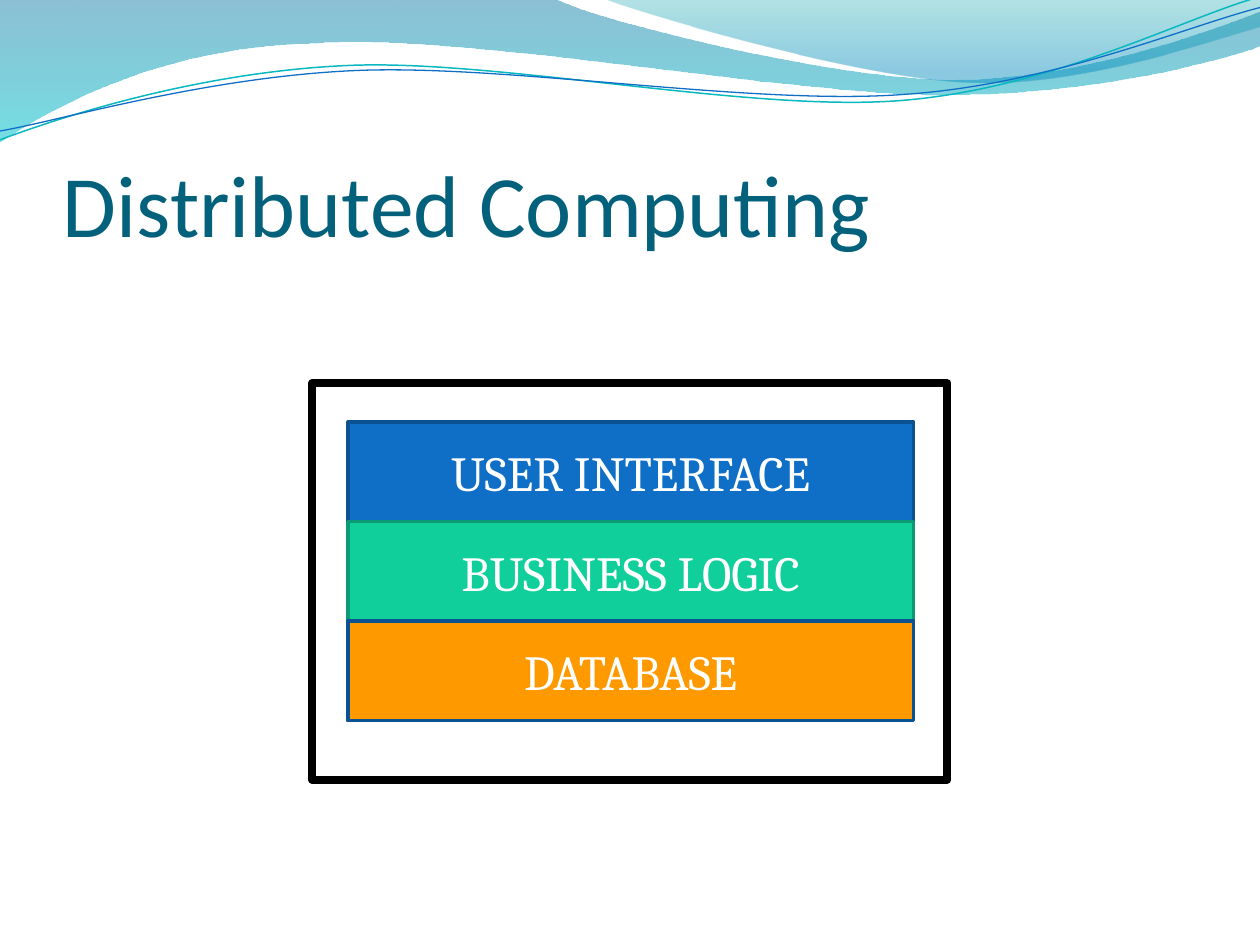
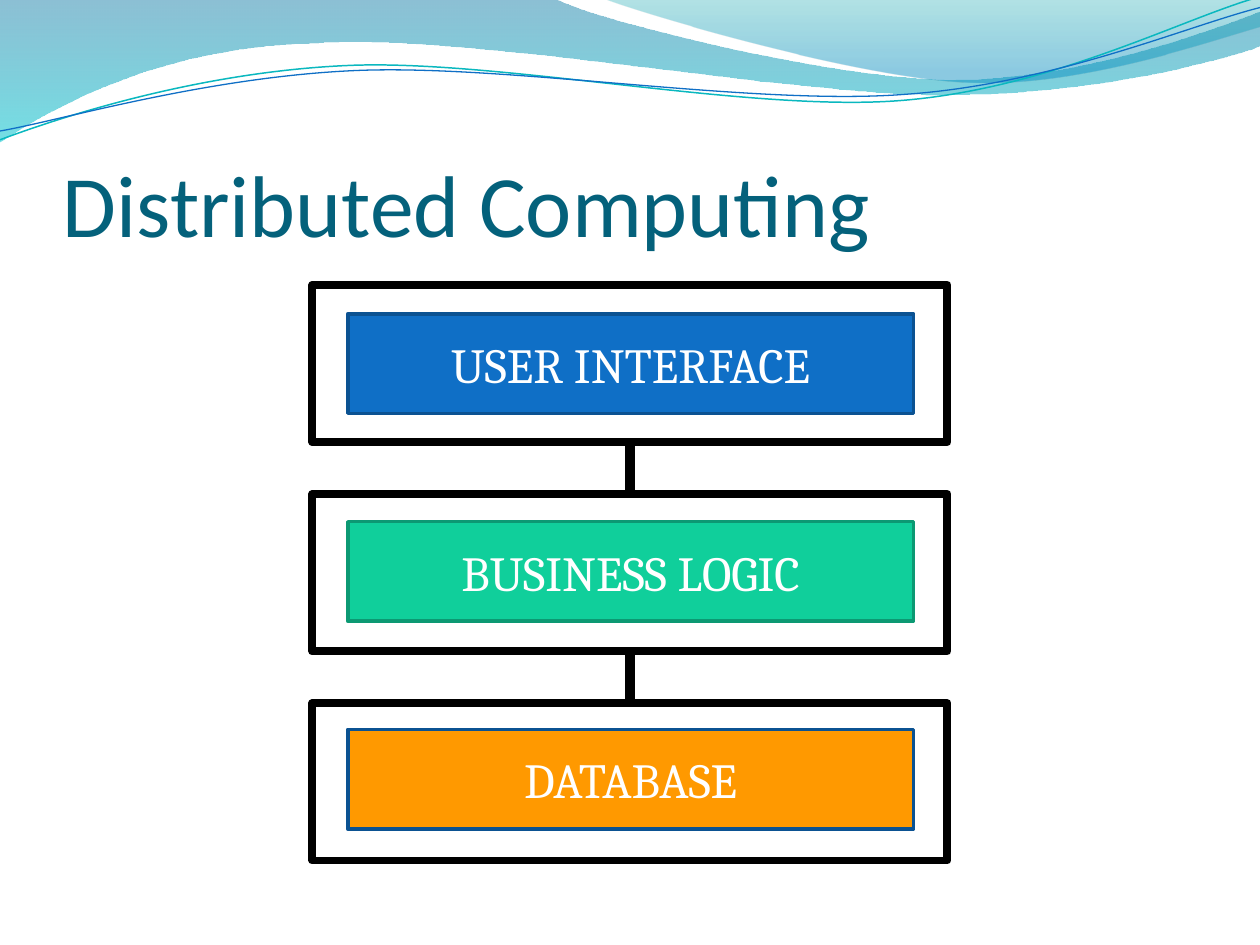
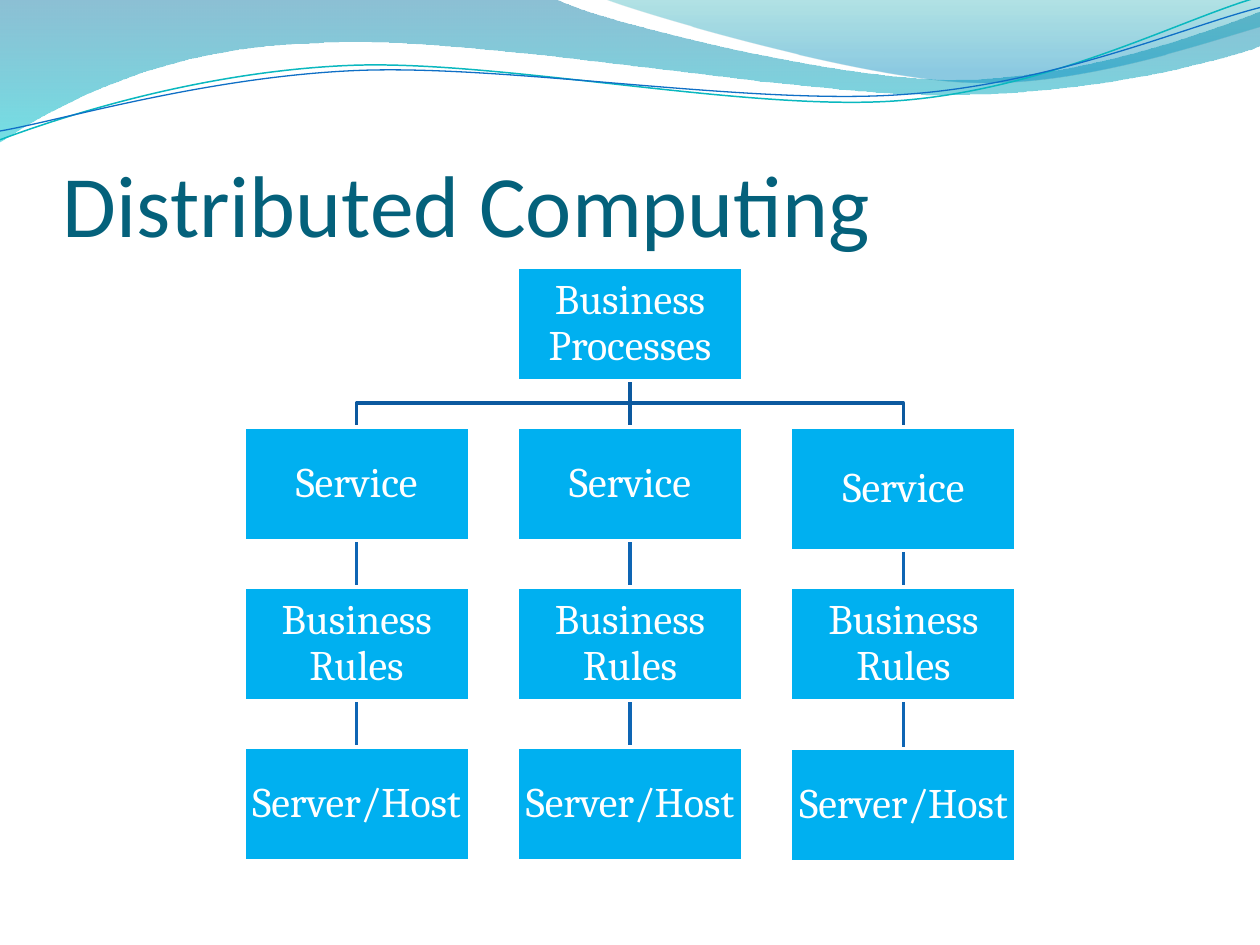
from dataclasses import dataclass
from itertools import chain, pairwise

from lxml import etree
from pptx import Presentation
from pptx import util as u
from pptx.dml.color import RGBColor
from pptx.enum import shapes, text
from pptx.oxml.ns import qn


@dataclass(frozen=True)
class Theme:
    title: str = "04617B"
    white: str = "FFFFFF"
    black: str = "000000"
    blue: str = "0F6FC6"
    blue_edge: str = "0B5292"
    green: str = "10CF9B"
    green_edge: str = "0C9973"
    orange: str = "FF9900"
    node: str = "00B0F0"
    branch: str = "0C599F"
    link: str = "0E65B4"
    teal: str = "0AB8BF"
    heading_font: str = "Calibri"
    body_font: str = "Cambria"
    title_size: int = 50
    layer_size: int = 28
    node_size: int = 24


THEME = Theme()
TITLE = "Distributed Computing"

# Bands: a start point, then line (1 point) or curve (3 points) segments.
# Each gradient stop is position, colour and opacity in percent.
FILLED_WAVES = [
    ((0, 0), [
        [(4.4, -0.01)],
        [(4.76, 0.17), (6.64, 0.63), (7.58, 0.63)],
        [(8.53, 0.63), (9.58, 0.26), (10, 0.09)],
        [(10.01, 0.36)],
        [(9.83, 0.44), (8.7, 0.76), (7.46, 0.75)],
        [(6.22, 0.75), (3.82, 0.28), (2.57, 0.34)],
        [(1.29, 0.36), (0.46, 0.83), (-0.01, 1.13)],
    ], [(0, "0074A1", 45), (1, "00C6CF", 55)]),
    ((4.79, -0.01), [
        [(5.09, 0.11), (6.82, 0.62), (7.69, 0.65)],
        [(8.56, 0.69), (9.61, 0.32), (10, 0.21)],
        [(10, 0)],
    ], [(0, "00A1A9", 30), (0.8, "008BBF", 45)]),
]
THIN_WAVES = [
    ((0, 1.11), [
        [(0.48, 0.93), (1.58, 0.57), (2.77, 0.52)],
        [(3.95, 0.47), (5.93, 0.89), (7.13, 0.8)],
        [(8.33, 0.71), (9.38, 0.15), (9.98, -0.02)],
    ], THEME.teal, 0.85),
    ((0, 1.04), [
        [(0.47, 0.96), (1.64, 0.61), (2.83, 0.56)],
        [(4.03, 0.51), (5.97, 0.84), (7.17, 0.75)],
        [(8.36, 0.67), (9.41, 0.21), (10, 0.06)],
    ], THEME.blue, 0.75),
]

# Application layers: label, fill, outline
LAYERS = [
    ("USER INTERFACE", THEME.blue, THEME.blue_edge),
    ("BUSINESS LOGIC", THEME.green, THEME.green_edge),
    ("DATABASE", THEME.orange, THEME.blue_edge),
]
LAYER_LEFT, LAYER_WIDTH, LAYER_HEIGHT = 2.76, 4.49, 0.79
FRAME_LEFT, FRAME_WIDTH = 2.48, 5.04


class Deck:
    def __init__(self, theme):
        self.theme = theme
        self.presentation = Presentation()
        self.presentation.slide_width = u.Inches(10)
        self.presentation.slide_height = u.Inches(7.5)
        self.slide = None

    def add_slide(self, title):
        layout = self.presentation.slide_layouts[6]
        self.slide = self.presentation.slides.add_slide(layout)
        for start, segments, stops in FILLED_WAVES:
            self.gradient(self.outline(start, segments, close=True), stops)
        for start, segments, color, width in THIN_WAVES:
            self.stroke(self.outline(start, segments), color, width)
        self.title(title)

    def title(self, title):
        box = self.slide.shapes.add_textbox(
            u.Inches(0.5), u.Inches(0.77), u.Inches(9), u.Inches(1.25))
        self.label(box, title, self.theme.title_size, self.theme.title,
                   self.theme.heading_font, text.PP_ALIGN.LEFT)
        frame = box.text_frame
        frame.vertical_anchor = text.MSO_ANCHOR.BOTTOM
        frame.margin_left = frame.margin_right = frame.margin_bottom = 0

    def label(self, shape, words, size, color, font, align):
        frame = shape.text_frame
        frame.word_wrap = True
        frame.text = words
        paragraph = frame.paragraphs[0]
        paragraph.alignment = align
        for run in paragraph.runs:
            run.font.name = font
            run.font.size = u.Pt(size)
            run.font.color.rgb = RGBColor.from_string(color)

    def stroke(self, shape, color, width):
        shape.line.color.rgb = RGBColor.from_string(color)
        shape.line.width = u.Pt(width)

    def gradient(self, shape, stops):
        shape.line.fill.background()
        shape.fill.gradient()
        shape.fill.gradient_angle = 270
        for stop, (position, color, _) in zip(shape.fill.gradient_stops, stops):
            stop.position = position
            stop.color.rgb = RGBColor.from_string(color)
        colors = shape._element.spPr.iter(qn("a:srgbClr"))
        for element, (_, _, opacity) in zip(colors, stops):
            etree.SubElement(element, qn("a:alpha"), val=str(opacity * 1000))

    def outline(self, start, segments, close=False):
        points = [(u.Inches(x), u.Inches(y))
                  for x, y in chain.from_iterable(segments)]
        builder = self.slide.shapes.build_freeform(
            u.Inches(start[0]), u.Inches(start[1]))
        builder.add_line_segments(points, close=close)
        shape = builder.convert_to_shape()
        shape.shadow.inherit = False
        if not close:
            shape.fill.background()
        # Merge the three points of each curve into one Bezier segment
        lines = iter(list(shape._element.iter(qn("a:lnTo"))))
        for segment in segments:
            first, *others = [next(lines) for _ in segment]
            if others:
                first.tag = qn("a:cubicBezTo")
            for other in others:
                first.append(other[0])
                other.getparent().remove(other)
        return shape

    def box(self, left, top, width, height, edge, edge_width, fill=None):
        shape = self.slide.shapes.add_shape(
            shapes.MSO_SHAPE.RECTANGLE, u.Inches(left), u.Inches(top),
            u.Inches(width), u.Inches(height))
        shape.shadow.inherit = False
        if fill:
            shape.fill.solid()
            shape.fill.fore_color.rgb = RGBColor.from_string(fill)
        else:
            shape.fill.background()
        self.stroke(shape, edge, edge_width)
        return shape

    def frame(self, top, height):
        return self.box(FRAME_LEFT, top, FRAME_WIDTH, height,
                        self.theme.black, 4.5)

    def layers(self, top, pitch):
        for row, (label, fill, edge) in enumerate(LAYERS):
            shape = self.box(LAYER_LEFT, top + row * pitch, LAYER_WIDTH,
                             LAYER_HEIGHT, edge, 2, fill)
            self.label(shape, label, self.theme.layer_size, self.theme.white,
                       self.theme.body_font, text.PP_ALIGN.CENTER)

    def node(self, label, center, top, height=0.9, width=1.79):
        shape = self.box(center - width / 2, top, width, height,
                         self.theme.white, 2, self.theme.node)
        self.label(shape, label, self.theme.node_size, self.theme.white,
                   self.theme.body_font, text.PP_ALIGN.CENTER)
        frame = shape.text_frame
        frame.margin_left = frame.margin_right = u.Inches(0.02)
        frame.margin_top = frame.margin_bottom = u.Inches(0.02)
        frame.paragraphs[0].line_spacing = 0.9
        return shape

    def send_back(self, shape):
        shape._element.getparent().insert(2, shape._element)

    def connect(self, upper, lower, color, width):
        connector = self.slide.shapes.add_connector(
            shapes.MSO_CONNECTOR.STRAIGHT, 0, 0, 0, 0)
        connector.begin_connect(upper, 2)
        connector.end_connect(lower, 0)
        self.stroke(connector, color, width)
        etree.SubElement(connector._element.spPr, qn("a:effectLst"))
        self.send_back(connector)

    def branch(self, start, end):
        middle = (start[1] + end[1]) / 2
        corners = [[(start[0], middle)], [(end[0], middle)], [end]]
        shape = self.outline(start, corners)
        self.stroke(shape, self.theme.branch, 2)
        self.send_back(shape)


def single_machine(deck):
    deck.add_slide(TITLE)
    deck.layers(top=3.35, pitch=LAYER_HEIGHT)
    deck.frame(top=3.04, height=3.15)


def separate_tiers(deck):
    deck.add_slide(TITLE)
    deck.layers(top=2.49, pitch=1.65)
    frames = [deck.frame(2.26 + 1.66 * row, 1.25) for row in range(3)]
    for upper, lower in pairwise(frames):
        deck.connect(upper, lower, THEME.black, 6)


def service_tree(deck):
    deck.add_slide(TITLE)
    middle, column_pitch, top, row_pitch = 5, 2.17, 2.12, 1.27
    root = deck.node("Business Processes", middle, top)
    for column in (-1, 0, 1):
        center = middle + column * column_pitch
        # The right-hand service is slightly taller
        service = deck.node("Service", center, top + row_pitch,
                            height=0.98 if column == 1 else 0.9)
        rules = deck.node("Business Rules", center, top + 2 * row_pitch)
        host = deck.node("Server/Host", center,
                         5.94 if column == 1 else top + 3 * row_pitch)
        deck.connect(service, rules, THEME.link, 2)
        deck.connect(rules, host, THEME.link, 2)
        if column:
            deck.branch((middle, 3.01), (center, 3.39))
        else:
            deck.connect(root, service, THEME.branch, 2)


def main():
    deck = Deck(THEME)
    single_machine(deck)
    separate_tiers(deck)
    service_tree(deck)
    deck.presentation.save("out.pptx")


if __name__ == "__main__":
    main()
